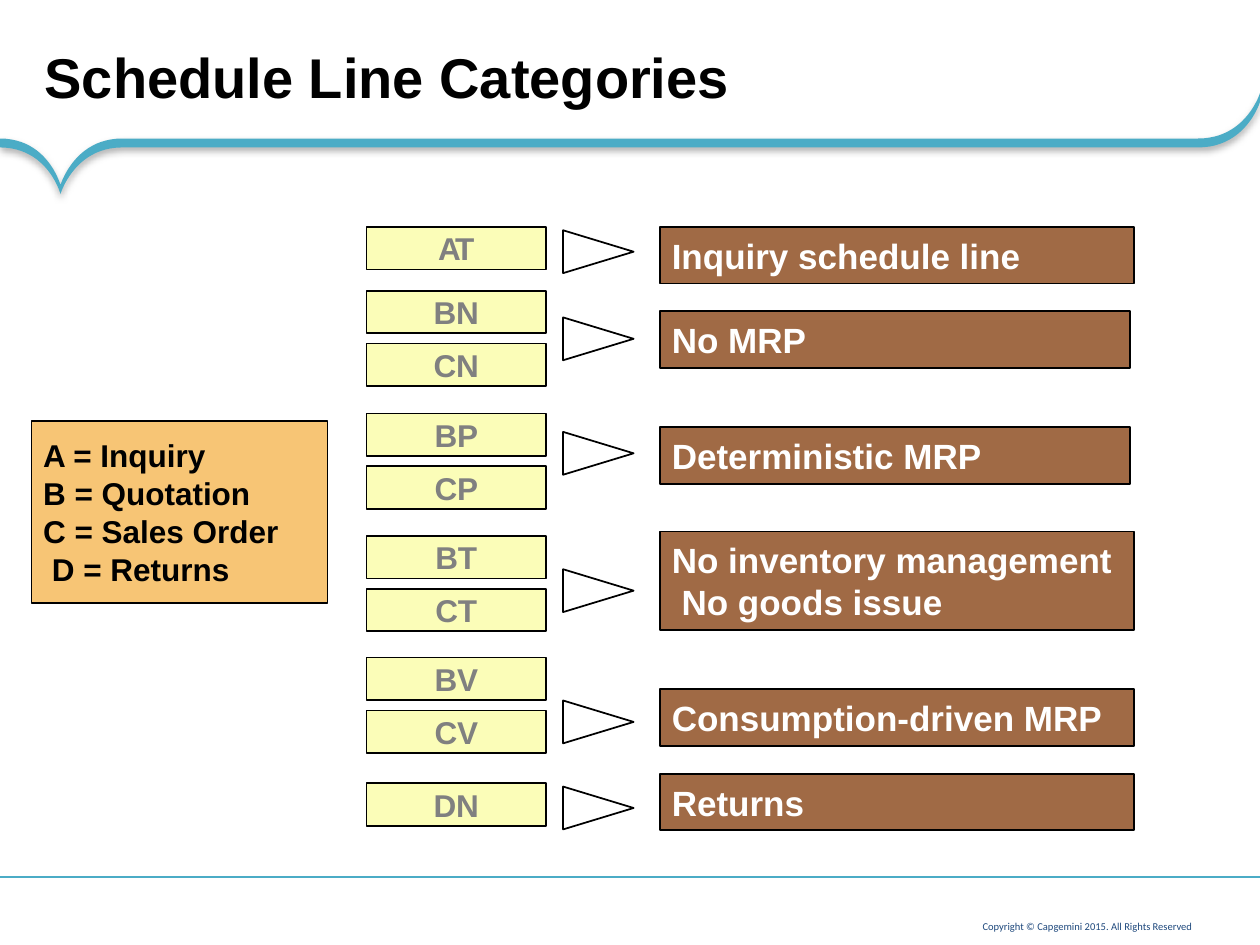
import pptx
import pptx.util
import pptx.dml.color
import pptx.enum.shapes
import pptx.enum.text
from lxml import etree

Pt = pptx.util.Pt
RGBColor = pptx.dml.color.RGBColor
ALIGN = pptx.enum.text.PP_ALIGN
ANCHOR = pptx.enum.text.MSO_ANCHOR

BLACK = RGBColor(0x00, 0x00, 0x00)
WHITE = RGBColor(0xFF, 0xFF, 0xFF)
GRAY = RGBColor(0x80, 0x80, 0x80)
TEAL = RGBColor(0x4B, 0xAC, 0xC6)
NAVY = RGBColor(0x1F, 0x49, 0x7D)
BROWN = RGBColor(0xA0, 0x6A, 0x45)
YELLOW = RGBColor(0xFB, 0xFD, 0xB8)
ORANGE = RGBColor(0xF7, 0xC5, 0x75)

DRAWING = "http://schemas.openxmlformats.org/drawingml/2006/main"
RIBBON_SHADOW = (
    f'<a:effectLst xmlns:a="{DRAWING}">'
    '<a:outerShdw blurRad="50800" dist="25400" dir="5400000" algn="t" rotWithShape="0">'
    '<a:srgbClr val="000000"><a:alpha val="31000"/></a:srgbClr>'
    '</a:outerShdw></a:effectLst>'
)

CODE_LEFT, CODE_WIDTH, CODE_HEIGHT, CODE_PITCH = 209.5, 102.5, 24.4, 30.2
ARROW_LEFT, ARROW_WIDTH, ARROW_HEIGHT = 321.8, 40.3, 24.5
MEANING_LEFT = 377.3
CATEGORIES = [
    (["AT"], 129.6, 131.6, ["Inquiry schedule line"], 129.6, 270.7, 32.4),
    (["BN", "CN"], 166.1, 181.4, ["No MRP"], 177.8, 268.6, 32.4),
    (["BP", "CP"], 236.2, 246.8, ["Deterministic MRP"], 244.1, 268.6, 32.4),
    (["BT", "CT"], 306.2, 325.3, ["No inventory management", "No goods issue"], 303.8, 270.7, 56.2),
    (["BV", "CV"], 375.8, 400.3, ["Consumption-driven MRP"], 393.8, 270.7, 32.4),
    (["DN"], 447.6, 449.5, ["Returns"], 442.1, 270.7, 32.4),
]
LEGEND = ["A = Inquiry", "B = Quotation", "C = Sales Order", "D = Returns"]


def bezier(start, control_a, control_b, end, steps=24):
    """Return points along a cubic curve."""
    points = []
    for step in range(steps + 1):
        t = step / steps
        weights = ((1 - t) ** 3, 3 * t * (1 - t) ** 2, 3 * t * t * (1 - t), t ** 3)
        corners = (start, control_a, control_b, end)
        points.append(tuple(sum(w * c[axis] for w, c in zip(weights, corners)) for axis in (0, 1)))
    return points


class SlideBuilder:
    """Hold the style and the current slide."""

    font = "Arial"
    line_width = 1

    def __init__(self, slide):
        self.slide = slide

    def add_lines(self, frame, lines, size, color, align=ALIGN.LEFT, indents=(0,), bold=True,
                  font=None, anchor=ANCHOR.MIDDLE, inset=0, spacing=0):
        frame.word_wrap = True
        frame.auto_size = pptx.enum.text.MSO_AUTO_SIZE.NONE
        frame.vertical_anchor = anchor
        frame.margin_left = frame.margin_right = Pt(inset)
        frame.margin_top = frame.margin_bottom = Pt(inset)
        for number, line in enumerate(lines):
            paragraph = frame.paragraphs[0] if number == 0 else frame.add_paragraph()
            paragraph.alignment = align
            indent = indents[min(number, len(indents) - 1)]
            properties = paragraph._p.get_or_add_pPr()
            properties.set("marL", str(int(Pt(indent))))
            properties.set("indent", "0")
            run = paragraph.add_run()
            run.text = line
            run.font.name = font or self.font
            run.font.size = Pt(size)
            run.font.bold = bold
            run.font.color.rgb = color
            if spacing:
                run._r.get_or_add_rPr().set("spc", str(spacing))

    def title(self, text):
        heading = self.slide.shapes.title
        heading.left, heading.top, heading.width, heading.height = Pt(24.5), Pt(23.8), Pt(616.3), Pt(38.9)
        self.add_lines(heading.text_frame, [text], 32, BLACK, indents=(1,), anchor=ANCHOR.BOTTOM)

    def box(self, left, top, width, height, fill, lines, size, color, **style):
        rectangle = self.slide.shapes.add_shape(
            pptx.enum.shapes.MSO_SHAPE.RECTANGLE, Pt(left), Pt(top), Pt(width), Pt(height))
        rectangle.shadow.inherit = False
        rectangle.fill.solid()
        rectangle.fill.fore_color.rgb = fill
        rectangle.line.color.rgb = BLACK
        rectangle.line.width = Pt(self.line_width)
        self.add_lines(rectangle.text_frame, lines, size, color, **style)

    def outline(self, points):
        corners = [(Pt(x), Pt(y)) for x, y in points]
        builder = self.slide.shapes.build_freeform(*corners[0])
        builder.add_line_segments(corners[1:], close=True)
        return builder.convert_to_shape()

    def arrow(self, top):
        triangle = self.outline([
            (ARROW_LEFT, top + ARROW_HEIGHT),
            (ARROW_LEFT + ARROW_WIDTH, top + ARROW_HEIGHT / 2),
            (ARROW_LEFT, top),
        ])
        triangle.shadow.inherit = False
        triangle.fill.background()
        triangle.line.color.rgb = BLACK
        triangle.line.width = Pt(self.line_width)

    def ribbon(self, thickness):
        top_edge = (
            bezier((720, 53.3), (720, 53.3), (712.1, 79.2), (684.7, 79.2))
            + bezier((69.8, 79.2), (42.5, 79.2), (34.6, 105.8), (34.6, 105.8))
            + bezier((34.6, 105.8), (34.6, 105.8), (27.4, 79.2), (0, 79.2))
        )
        band = self.outline(top_edge + [(x, y + thickness) for x, y in reversed(top_edge)])
        band.fill.solid()
        band.fill.fore_color.rgb = TEAL
        band.line.fill.background()
        band._element.spPr.append(etree.fromstring(RIBBON_SHADOW))

    def rule(self, top):
        divider = self.slide.shapes.add_connector(
            pptx.enum.shapes.MSO_CONNECTOR.STRAIGHT, Pt(720), Pt(top), Pt(0), Pt(top))
        divider.line.color.rgb = TEAL
        divider.line.width = Pt(0.75)
        etree.SubElement(divider._element.spPr, f"{{{DRAWING}}}effectLst")

    def footer(self, text):
        credit = self.slide.shapes.add_textbox(Pt(490.3), Pt(521.3), Pt(193.7), Pt(14.4))
        self.add_lines(credit.text_frame, [text], 6, NAVY, align=ALIGN.RIGHT, bold=False,
                       font="Calibri", anchor=ANCHOR.BOTTOM, inset=2.9)
        credit.text_frame.paragraphs[0].line_spacing = 0.9


def main():
    presentation = pptx.Presentation()
    presentation.slide_width, presentation.slide_height = Pt(720), Pt(540)
    page = SlideBuilder(presentation.slides.add_slide(presentation.slide_layouts[5]))
    page.footer("Copyright © Capgemini 2015. All Rights Reserved")
    page.ribbon(5.1)
    page.rule(501.1)
    page.title("Schedule Line Categories")
    for codes, code_top, arrow_top, meaning, meaning_top, width, height in CATEGORIES:
        for row, code in enumerate(codes):
            page.box(CODE_LEFT, code_top + row * CODE_PITCH, CODE_WIDTH, CODE_HEIGHT, YELLOW,
                     [code], 18, GRAY, align=ALIGN.CENTER, spacing=-190 if code == "AT" else -10)
        page.arrow(arrow_top)
        page.box(MEANING_LEFT, meaning_top, width, height, BROWN,
                 meaning, 20, WHITE, indents=(6.6, 12.2))
    page.box(18, 240.5, 169.2, 104.2, ORANGE, LEGEND, 18, BLACK, indents=(6.6, 6.6, 6.6, 11.6))
    presentation.save("out.pptx")


if __name__ == "__main__":
    main()
